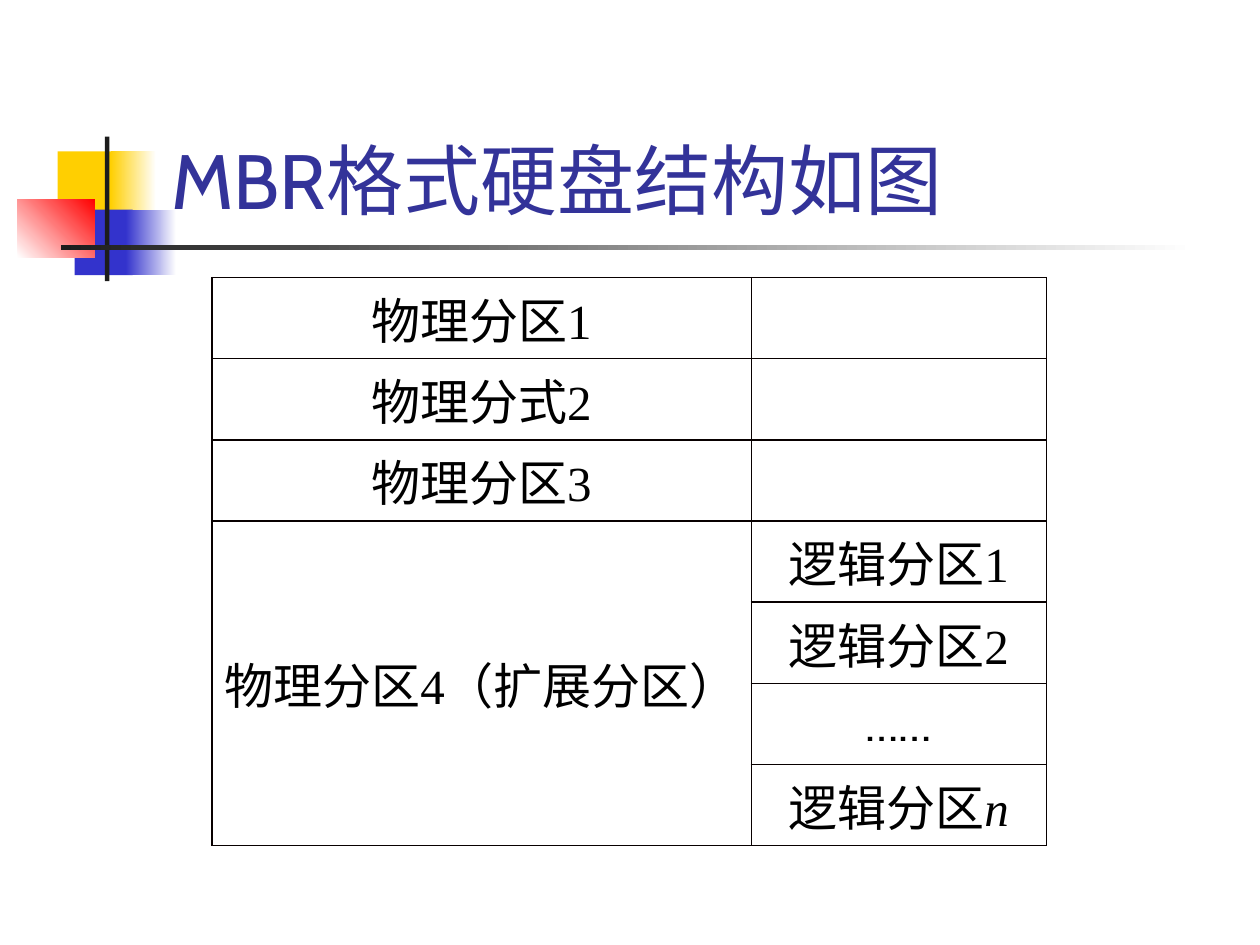
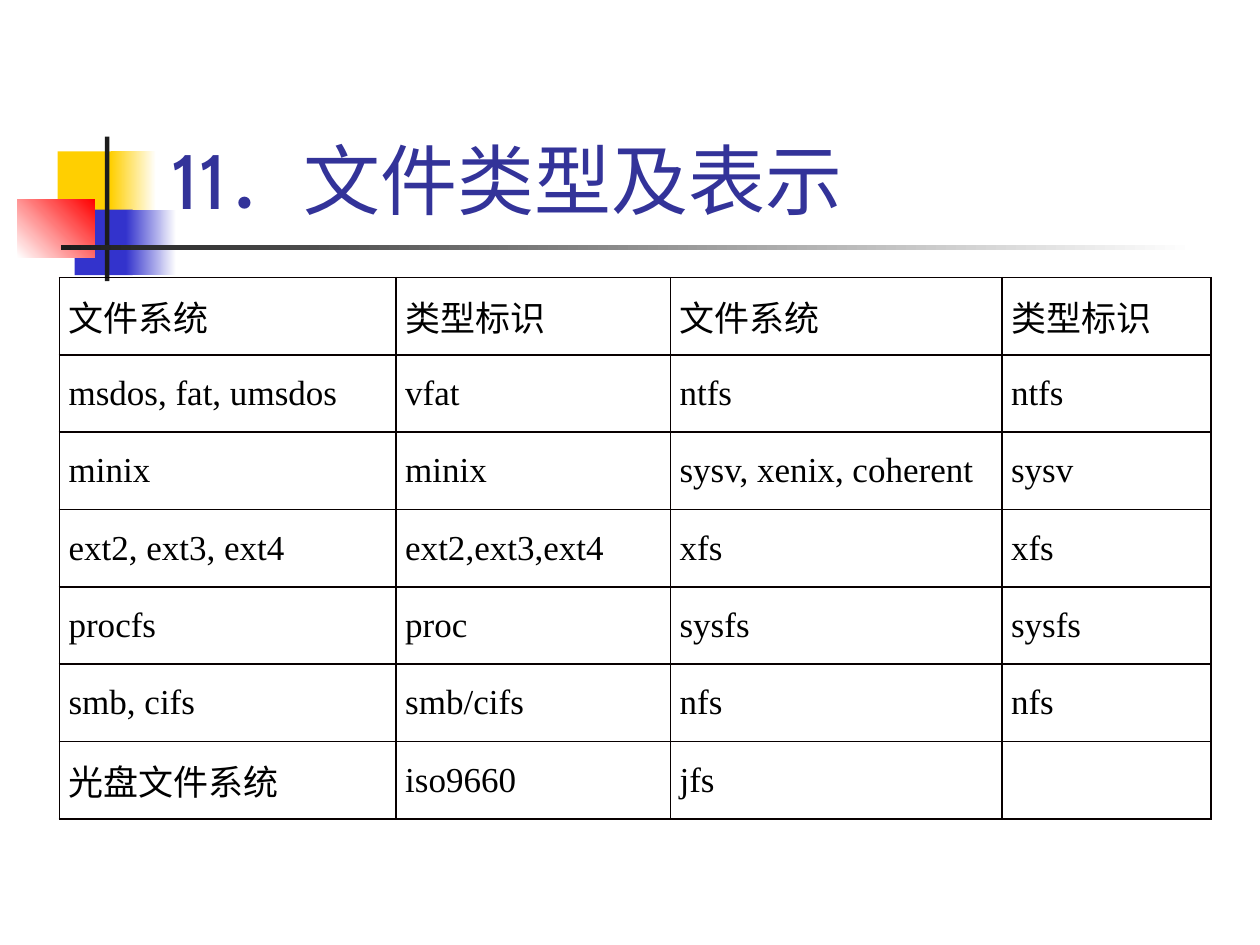
from lxml.etree import SubElement
from pptx import Presentation
from pptx.dml.color import RGBColor
from pptx.enum.shapes import MSO_SHAPE
from pptx.enum.text import MSO_ANCHOR, MSO_AUTO_SIZE, PP_ALIGN
from pptx.oxml.ns import qn
from pptx.util import Pt

COLORS = {
    "yellow": "FFCF01", "blue": "3333CC", "red": "FF0000", "dark": "1C1C1C",
    "white": "FFFFFF", "title": "333399", "text": "000000", "border": "080000",
}
TITLE_FONT, LATIN_FONT, CHINESE_FONT = "Cabin", "Times New Roman", "Noto Sans CJK SC"

# left, top, width, height, colours (two make a gradient), gradient angle
TITLE_ART = [
    (33, 86.5, 34.5, 37.5, ["yellow"], 0),
    (63.2, 86.5, 26, 37.5, ["yellow", "white"], 0),
    (42.7, 119.8, 33.2, 37.5, ["blue"], 0),
    (72, 119.8, 28.8, 37.5, ["blue", "white"], 0),
    (10, 113.8, 44.2, 33.5, ["white", "red"], 45),
    (60, 78, 2.5, 82.7, ["dark"], 0),
    (34.8, 140.2, 648, 2.5, ["dark", "white"], 0),
]
TITLE_BOX = (91, 16.5, 613.5, 115.5)

SLIDES = [
    {
        "title": "MBR格式硬盘结构如图",
        "left": 121, "widths": [308.4, 168.5], "row_height": 46.4,
        "size": 28, "align": PP_ALIGN.CENTER,
        "merge": ((3, 0), (6, 0)),
        "rows": [
            ["物理分区1", ""],
            ["物理分式2", ""],
            ["物理分区3", ""],
            ["物理分区4（扩展分区）", "逻辑分区1"],
            ["", "逻辑分区2"],
            ["", [("……", {"latin": TITLE_FONT})]],
            ["", [("逻辑分区", {}), ("n", {"italic": True})]],
        ],
    },
    {
        "title": "11．文件类型及表示",
        "left": 34, "widths": [192.4, 156.8, 189.4, 119.4], "row_height": 44.2,
        "size": 20, "align": PP_ALIGN.LEFT,
        "merge": None,
        "rows": [
            ["文件系统", "类型标识", "文件系统", "类型标识"],
            ["msdos, fat, umsdos", "vfat", "ntfs", "ntfs"],
            ["minix", "minix", "sysv, xenix, coherent", "sysv"],
            ["ext2, ext3, ext4", "ext2,ext3,ext4", "xfs", "xfs"],
            ["procfs", "proc", "sysfs", "sysfs"],
            ["smb, cifs", "smb/cifs", "nfs", "nfs"],
            ["光盘文件系统", "iso9660", "jfs", ""],
        ],
    },
]


def rgb(name):
    return RGBColor.from_string(COLORS[name])


def add_run(paragraph, text, size, latin=LATIN_FONT, color="text", italic=None):
    run = paragraph.add_run()
    run.text = text
    font = run.font
    font.size, font.name, font.italic = Pt(size), latin, italic
    font.color.rgb = rgb(color)
    SubElement(run.font._element, qn("a:ea"), typeface=CHINESE_FONT)


def add_title_art(slide, layout):
    """Draw the title ornament and move it into the layout that all slides share."""
    for number, (*box, colors, angle) in enumerate(TITLE_ART, start=101):
        shape = slide.shapes.add_shape(MSO_SHAPE.RECTANGLE, *map(Pt, box))
        shape.name = f"Title art {number - 100}"
        shape.shadow.inherit = False
        shape.line.fill.background()
        if len(colors) == 1:
            shape.fill.solid()
            shape.fill.fore_color.rgb = rgb(colors[0])
        else:
            shape.fill.gradient()
            shape.fill.gradient_angle = angle
            for stop, color in zip(shape.fill.gradient_stops, colors):
                stop.color.rgb = rgb(color)
        shape.element.nvSpPr.cNvPr.set("id", str(number))
        layout.shapes.element.append(shape.element)


def place_title(layout):
    title = layout.placeholders[0]
    title.left, title.top, title.width, title.height = map(Pt, TITLE_BOX)


def add_title(slide, text):
    frame = slide.shapes.title.text_frame
    frame.word_wrap = True
    frame.auto_size = MSO_AUTO_SIZE.NONE
    frame.vertical_anchor = MSO_ANCHOR.BOTTOM
    frame.paragraphs[0].alignment = PP_ALIGN.LEFT
    add_run(frame.paragraphs[0], text, 44, latin=TITLE_FONT, color="title")


def format_cell(cell):
    properties = cell._tc.get_or_add_tcPr()
    for side in ("lnL", "lnR", "lnT", "lnB"):
        line = SubElement(properties, qn(f"a:{side}"), w=str(Pt(1)))
        fill = SubElement(line, qn("a:solidFill"))
        SubElement(fill, qn("a:srgbClr"), val=COLORS["border"])
    cell.fill.background()
    cell.vertical_anchor = MSO_ANCHOR.MIDDLE
    cell.margin_left = cell.margin_right = Pt(5.2)
    cell.margin_top = cell.margin_bottom = 0


def add_grid(slide, content):
    rows, widths, height = content["rows"], content["widths"], content["row_height"]
    table = slide.shapes.add_table(
        len(rows), len(widths), Pt(content["left"]), Pt(158.6),
        Pt(sum(widths)), Pt(height * len(rows))).table
    table.first_row = table.horz_banding = False
    for column, width in zip(table.columns, widths):
        column.width = Pt(width)
    for row_index, row in enumerate(rows):
        table.rows[row_index].height = Pt(height)
        for column_index, text in enumerate(row):
            cell = table.cell(row_index, column_index)
            format_cell(cell)
            paragraph = cell.text_frame.paragraphs[0]
            paragraph.alignment = content["align"]
            runs = [(text, {})] if isinstance(text, str) else text
            for run_text, style in runs:
                if run_text:
                    add_run(paragraph, run_text, content["size"], **style)
    if content["merge"]:
        first, last = content["merge"]
        table.cell(*first).merge(table.cell(*last))


def main():
    presentation = Presentation()
    presentation.slide_width, presentation.slide_height = Pt(720), Pt(540)
    layout = presentation.slide_layouts[5]
    place_title(layout)
    for index, content in enumerate(SLIDES):
        slide = presentation.slides.add_slide(layout)
        if index == 0:
            add_title_art(slide, layout)
        add_title(slide, content["title"])
        add_grid(slide, content)
    presentation.save("out.pptx")


if __name__ == "__main__":
    main()
